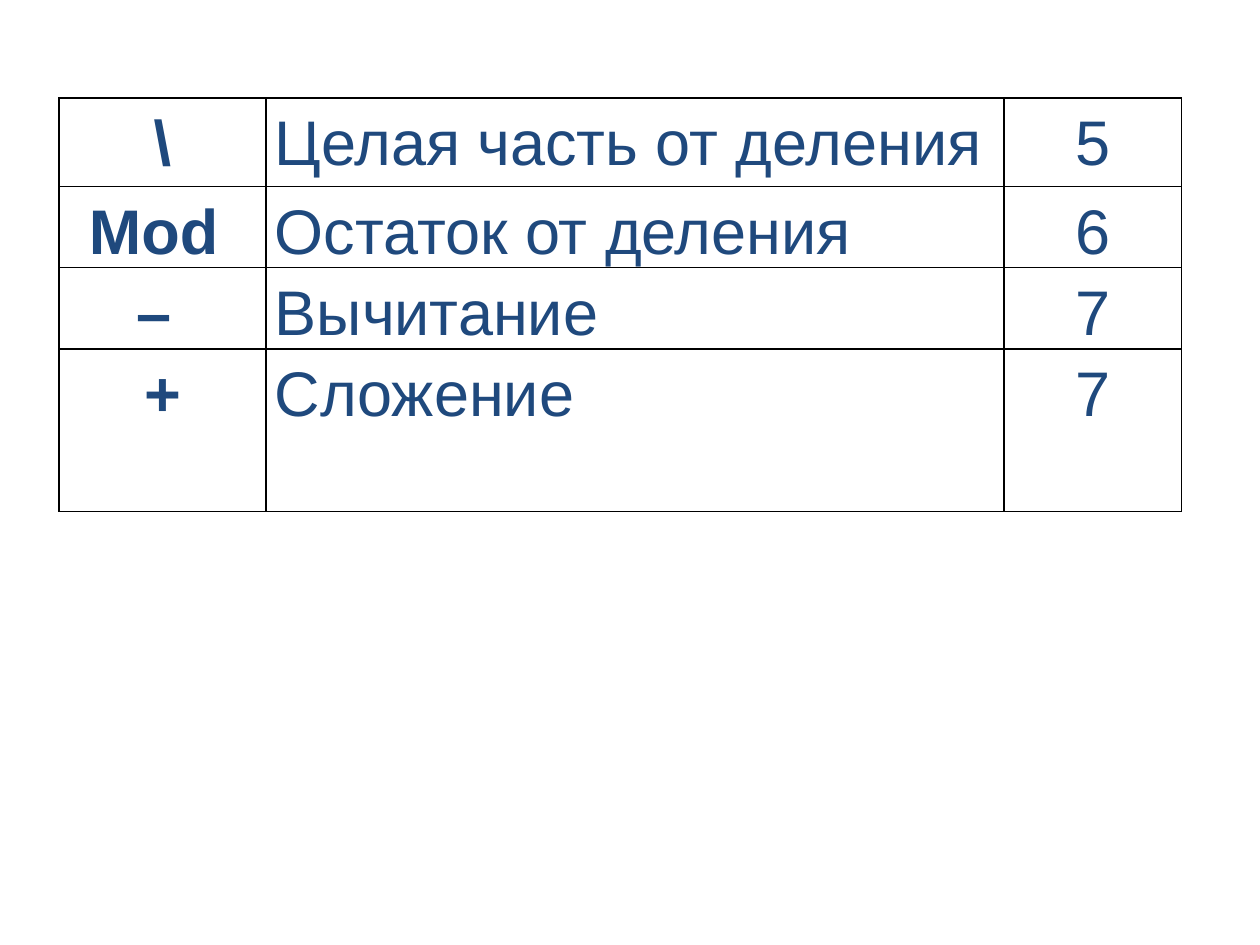
from lxml import etree
from pptx import Presentation
from pptx.dml.color import RGBColor
from pptx.enum.text import PP_ALIGN
from pptx.oxml.ns import qn
from pptx.util import Cm, Pt

CENTER, JUSTIFY = PP_ALIGN.CENTER, PP_ALIGN.JUSTIFY

THEME = {"font": "Arial", "size": 36, "ink": "1F497D", "line": "000000"}

ROWS = [
    ("\\", "Целая часть от деления", "5"),
    ("Mod ", "Остаток от деления", "6"),
    ("– ", "Вычитание", "7"),
    ("+", "Сложение", "7"),
]
# width in cm, alignment, bold
COLS = [(4.17, CENTER, True), (14.88, JUSTIFY, False), (3.58, CENTER, False)]
HEIGHTS = [1.78, 1.63, 1.63, 3.28]
LEFT, TOP, INSET = 1.19, 1.98, 0.18


def add_border(cell):
    props = cell._tc.get_or_add_tcPr()
    for side in ("a:lnL", "a:lnR", "a:lnT", "a:lnB"):
        line = etree.SubElement(props, qn(side), w=str(Pt(1)))
        fill = etree.SubElement(line, qn("a:solidFill"))
        etree.SubElement(fill, qn("a:srgbClr"), val=THEME["line"])


def fill_cell(cell, text, align, bold):
    cell.margin_left = cell.margin_right = Cm(INSET)
    cell.margin_top = cell.margin_bottom = 0
    add_border(cell)
    cell.fill.background()
    cell.text_frame.text = text
    para = cell.text_frame.paragraphs[0]
    para.alignment = align
    para.line_spacing = 1.15
    font = para.runs[0].font
    font.name = THEME["font"]
    font.size = Pt(THEME["size"])
    font.bold = bold
    font.color.rgb = RGBColor.from_string(THEME["ink"])


def main():
    deck = Presentation()
    deck.slide_width, deck.slide_height = Cm(25.4), Cm(19.05)
    slide = deck.slides.add_slide(deck.slide_layouts[6])
    width = sum(col[0] for col in COLS)
    frame = slide.shapes.add_table(
        len(ROWS), len(COLS), Cm(LEFT), Cm(TOP), Cm(width), Cm(sum(HEIGHTS)))
    table = frame.table
    table.first_row = table.horz_banding = False
    for c, (wide, _, _) in enumerate(COLS):
        table.columns[c].width = Cm(wide)
    for r, (row, high) in enumerate(zip(ROWS, HEIGHTS)):
        table.rows[r].height = Cm(high)
        for c, (text, (_, align, bold)) in enumerate(zip(row, COLS)):
            fill_cell(table.cell(r, c), text, align, bold)
    deck.save("out.pptx")


if __name__ == "__main__":
    main()
